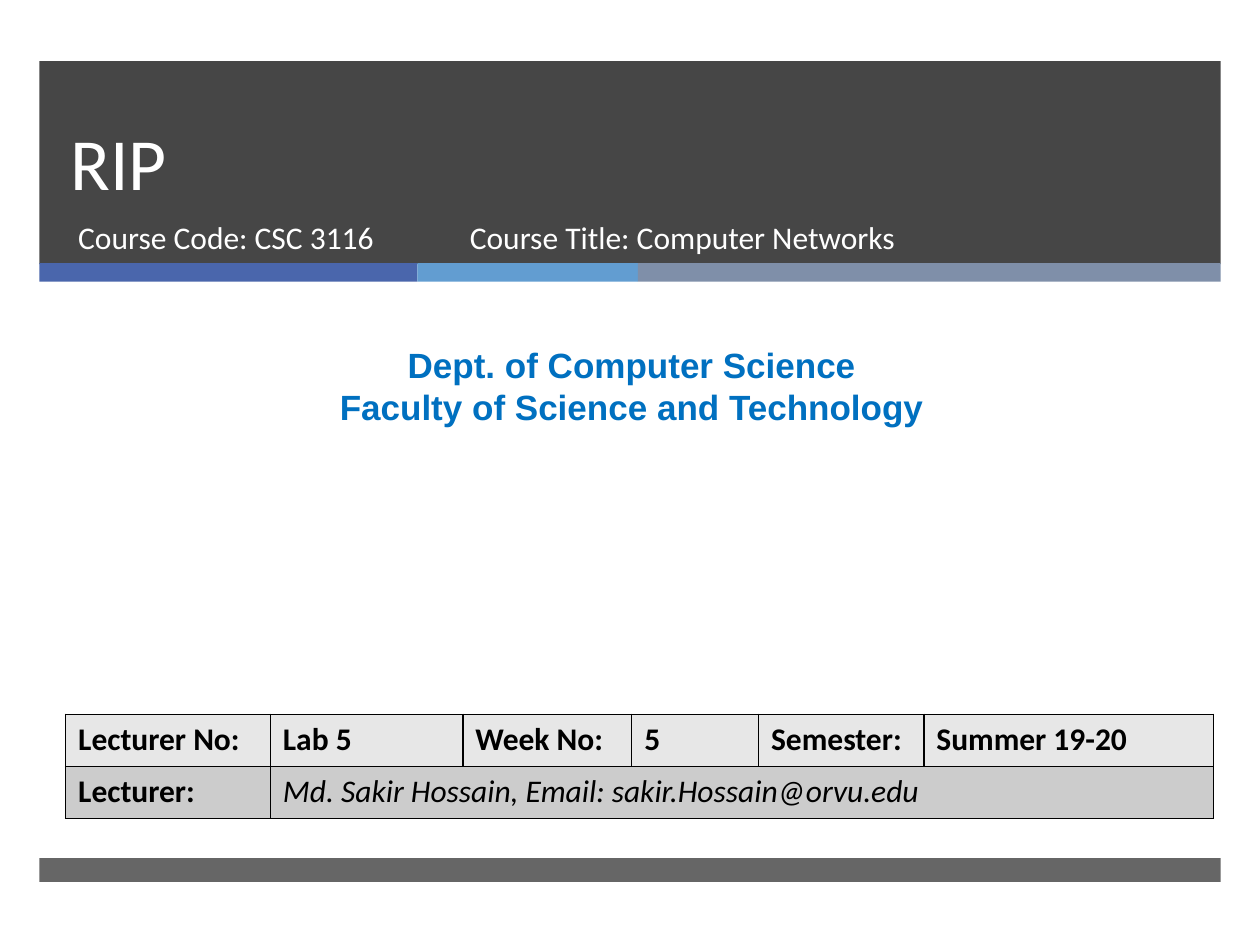
from lxml import etree
from pptx import Presentation
from pptx.dml.color import RGBColor
from pptx.enum import shapes, text
from pptx.oxml.ns import qn
from pptx.util import Pt

COLORS = {
    "charcoal": "262626", "blue": "4A66AC", "sky": "629DD1", "slate": "7F8FA9",
    "white": "FFFFFF", "black": "000000", "heading": "0070C0",
    "light_row": "E7E7E7", "dark_row": "CCCCCC",
}
BAND_LEFT, BAND_WIDTH = 22.5, 675


def rgb(name):
    return RGBColor.from_string(COLORS[name])


def add_bar(slide, left, top, width, height, color, opacity=100):
    bar = slide.shapes.add_shape(shapes.MSO_SHAPE.RECTANGLE,
                                 Pt(left), Pt(top), Pt(width), Pt(height))
    bar.shadow.inherit = False
    bar.line.fill.background()
    bar.fill.solid()
    bar.fill.fore_color.rgb = rgb(color)
    if opacity < 100:
        fill_color = bar.element.spPr.find(qn("a:solidFill"))[0]
        etree.SubElement(fill_color, qn("a:alpha"), val=str(opacity * 1000))


def style_paragraph(paragraph, size, color, font="Calibri", bold=False,
                    italic=False, align=text.PP_ALIGN.LEFT):
    paragraph.alignment = align
    paragraph.space_before = Pt(0)
    paragraph.font.name = font
    paragraph.font.size = Pt(size)
    paragraph.font.bold = bold
    paragraph.font.italic = italic
    paragraph.font.color.rgb = rgb(color)


def write(shape, box, lines, anchor=text.MSO_ANCHOR.TOP, **style):
    """Place a text shape and fill it with equally styled lines."""
    shape.left, shape.top, shape.width, shape.height = map(Pt, box)
    frame = shape.text_frame
    frame.text = "\n".join(lines)
    frame.word_wrap = True
    frame.auto_size = text.MSO_AUTO_SIZE.NONE
    frame.vertical_anchor = anchor
    for paragraph in frame.paragraphs:
        style_paragraph(paragraph, **style)


def add_text(slide, box, lines, **style):
    write(slide.shapes.add_textbox(*map(Pt, box)), box, lines, **style)


def set_borders(cell):
    properties = cell._tc.get_or_add_tcPr()
    for index, side in enumerate(("lnL", "lnR", "lnT", "lnB")):
        line = etree.Element(qn(f"a:{side}"), w=str(Pt(1)))
        fill = etree.SubElement(line, qn("a:solidFill"))
        etree.SubElement(fill, qn("a:srgbClr"), val=COLORS["black"])
        properties.insert(index, line)


def add_lecture_table(slide):
    rows = [
        ["Lecturer No:", "Lab 5", "Week No:", "5", "Semester:", "Summer 19-20"],
        ["Lecturer:", "Md. Sakir Hossain, Email: sakir.Hossain@orvu.edu"],
    ]
    widths = [117, 110, 96.5, 72.5, 94.5, 165.5]
    row_height = 29.8
    table = slide.shapes.add_table(len(rows), len(widths), Pt(37.5), Pt(408.2),
                                   Pt(sum(widths)), Pt(row_height * len(rows))).table
    for column, width in zip(table.columns, widths):
        column.width = Pt(width)
    table.cell(1, 1).merge(table.cell(1, 5))

    for r, (values, row_fill) in enumerate(zip(rows, ("light_row", "dark_row"))):
        table.rows[r].height = Pt(row_height)
        for c in range(len(widths)):
            cell = table.cell(r, c)
            cell.fill.solid()
            cell.fill.fore_color.rgb = rgb(row_fill)
            set_borders(cell)
            if c < len(values):
                is_contact = (r, c) == (1, 1)
                cell.text = values[c]
                style_paragraph(cell.text_frame.paragraphs[0], 18, "black",
                                bold=not is_contact, italic=is_contact)


def main():
    prs = Presentation()
    prs.slide_width, prs.slide_height = Pt(720), Pt(540)
    slide = prs.slides.add_slide(prs.slide_layouts[0])
    title, course_code = slide.placeholders

    # Header block, three-colour strip and footer
    add_bar(slide, BAND_LEFT, 35, BAND_WIDTH, 116, "charcoal", 85)
    strip_left = BAND_LEFT
    for width, color in ((216, "blue"), (126, "sky"), (333, "slate")):
        add_bar(slide, strip_left, 150.3, width, 10.7, color)
        strip_left += width
    add_bar(slide, BAND_LEFT, 490.3, BAND_WIDTH, 13.7, "charcoal", 70)

    # Title and course code, brought in front of the header block
    for placeholder in (title, course_code):
        placeholder.element.getparent().append(placeholder.element)
    write(title, (33, 35, 615, 86), ["RIP"], anchor=text.MSO_ANCHOR.BOTTOM,
          size=42, color="white")
    title.text_frame.paragraphs[0].line_spacing = Pt(46)
    write(course_code, (37.5, 121, 220, 38), ["Course Code: CSC 3116"],
          size=18, color="white")

    # Department heading
    add_text(slide, (5.5, 193, 711, 56),
             ["Dept. of Computer Science", "Faculty of Science and Technology"],
             size=20, color="heading", font="Arial", bold=True,
             align=text.PP_ALIGN.CENTER)

    # Lecture details and course title
    add_lecture_table(slide)
    add_text(slide, (261.4, 121.3, 328, 38), ["Course Title: Computer Networks"],
             size=18, color="white")

    prs.save("out.pptx")


if __name__ == "__main__":
    main()
